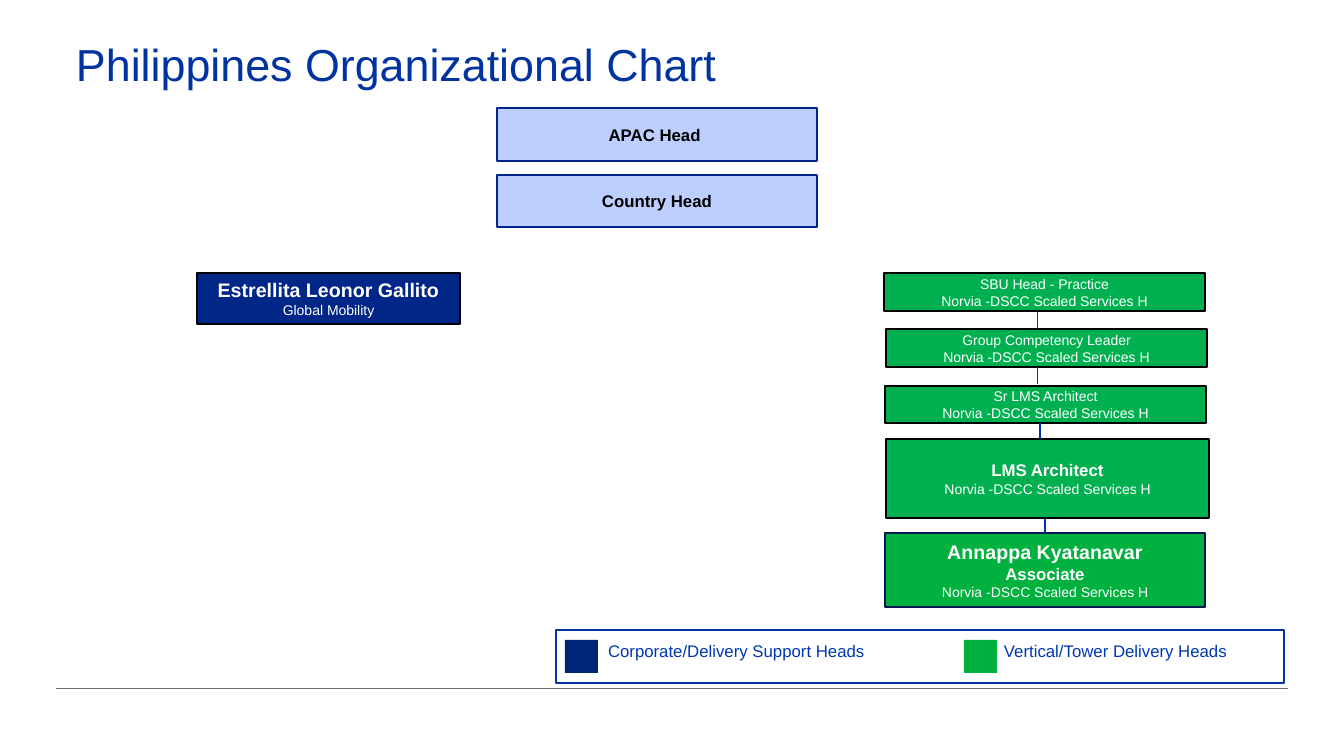
from pptx import Presentation, util as u
from pptx.dml.color import RGBColor
from pptx.enum import shapes, text

PX = 9071
COLOURS = {
    "title": "0033A0", "legend": "0038B1", "white": "FFFFFF", "black": "000000",
    "pale": "BDCFFF", "navy": "002687", "swatch": "002678", "deep": "00164F",
    "green": "00B050", "bright": "00B140", "link": "0033B4", "rule": "6D6E71",
}
UNIT = "Norvia -DSCC Scaled Services H"
HEADS = [
    ("APAC Head ", 497, 108, 320, 53),
    ("Country Head", 497, 175, 320, 52),
]
DELIVERY = [
    ([("SBU Head - Practice", 10, False)], 884, 273, 321, 38),
    ([("Group Competency Leader", 10, False)], 886, 329, 321, 38),
    ([("Sr LMS Architect", 10, False)], 885, 386, 321, 37),
    ([("LMS Architect", 12, True)], 886, 439, 323, 79),
]
LINKS = [(1038, 312, 329), (1038, 367, 384), (1040, 423, 439)]
LEGEND = [
    ("Corporate/Delivery Support Heads", "swatch", 565, 598, 300),
    ("Vertical/Tower Delivery Heads", "bright", 964, 994, 259),
]


def colour(name):
    return RGBColor.from_string(COLOURS[name])


def px(*lengths):
    return [length * PX for length in lengths]


def set_values(target, **values):
    for name, value in values.items():
        setattr(target, name, value)


def write(frame, lines, ink, align, margins):
    side, edge = px(*margins)
    set_values(frame, word_wrap=True, margin_left=side, margin_right=side,
               margin_top=edge, margin_bottom=edge)
    for index, (words, size, bold) in enumerate(lines):
        para = frame.add_paragraph() if index else frame.paragraphs[0]
        para.alignment = align
        span = para.add_run()
        span.text = words
        set_values(span.font, name="Arial", size=u.Pt(size), bold=bold)
        span.font.color.rgb = colour(ink)


def add_box(parent, place, fill=None, line=None, width=1.5, lines=(), ink="white"):
    box = parent.add_shape(shapes.MSO_SHAPE.RECTANGLE, *px(*place))
    box.shadow.inherit = False
    if fill:
        box.fill.solid()
        box.fill.fore_color.rgb = colour(fill)
    else:
        box.fill.background()
    if line:
        box.line.color.rgb = colour(line)
        box.line.width = u.Pt(width)
    else:
        box.line.fill.background()
    if lines:
        box.text_frame.vertical_anchor = text.MSO_ANCHOR.MIDDLE
        write(box.text_frame, lines, ink, text.PP_ALIGN.CENTER, (0, 5))
    return box


def add_line(page, start, end, ink):
    line = page.shapes.add_connector(shapes.MSO_CONNECTOR.STRAIGHT, *px(*start, *end))
    line.line.color.rgb = colour(ink)
    line.line.width = u.Pt(0.75)
    properties = line._element.spPr
    properties.append(properties.makeelement(
        "{http://schemas.openxmlformats.org/drawingml/2006/main}effectLst", {}))
    return line


def add_title(page, words):
    title = page.shapes.title
    left, top, width, height = px(76, 43, 1232, 117)
    set_values(title, left=left, top=top, width=width, height=height)
    set_values(title.text_frame, vertical_anchor=text.MSO_ANCHOR.TOP,
               auto_size=text.MSO_AUTO_SIZE.NONE)
    write(title.text_frame, [(words, 32, False)], "title", text.PP_ALIGN.LEFT, (0, 0))
    title.text_frame.paragraphs[0].line_spacing = 0.9


def add_legend(page):
    group = page.shapes.add_group_shape().shapes
    add_box(group, (556, 630, 728, 53), line="title")
    for words, fill, swatch_left, label_left, width in LEGEND:
        add_box(group, (swatch_left, 640, 33, 33), fill)
        label = group.add_textbox(*px(label_left, 636, width, 41))
        label.text_frame.auto_size = text.MSO_AUTO_SIZE.SHAPE_TO_FIT_TEXT
        write(label.text_frame, [(words, 12, False)], "legend",
              text.PP_ALIGN.LEFT, (10, 5))


def main():
    deck = Presentation()
    deck.slide_width, deck.slide_height = px(1344, 756)
    page = deck.slides.add_slide(deck.slide_layouts[5])
    add_line(page, (56, 689), (1288, 689), "rule")
    add_title(page, "Philippines Organizational Chart")
    add_legend(page)
    for words, *place in HEADS:
        add_box(page.shapes, place, "pale", "navy",
                lines=[(words, 12, True)], ink="black")
    add_box(page.shapes, (197, 273, 263, 51), "navy", "black",
            lines=[("Estrellita Leonor Gallito", 14, True), ("Global Mobility", 10, False)])
    unit_line = (UNIT, 10, False)
    for lines, *place in DELIVERY:
        add_box(page.shapes, place, "green", "black", lines=lines + [unit_line])
    associate = add_box(page.shapes, (885, 533, 320, 74), "bright", "deep", 2,
                        [("Annappa Kyatanavar", 14, True), ("Associate", 12, True), unit_line])
    for x, top, bottom in LINKS:
        add_line(page, (x, top), (x, bottom), "link")
    add_line(page, (1045, 518), (1045, 533), "link").end_connect(associate, 0)
    deck.save("out.pptx")


if __name__ == "__main__":
    main()
